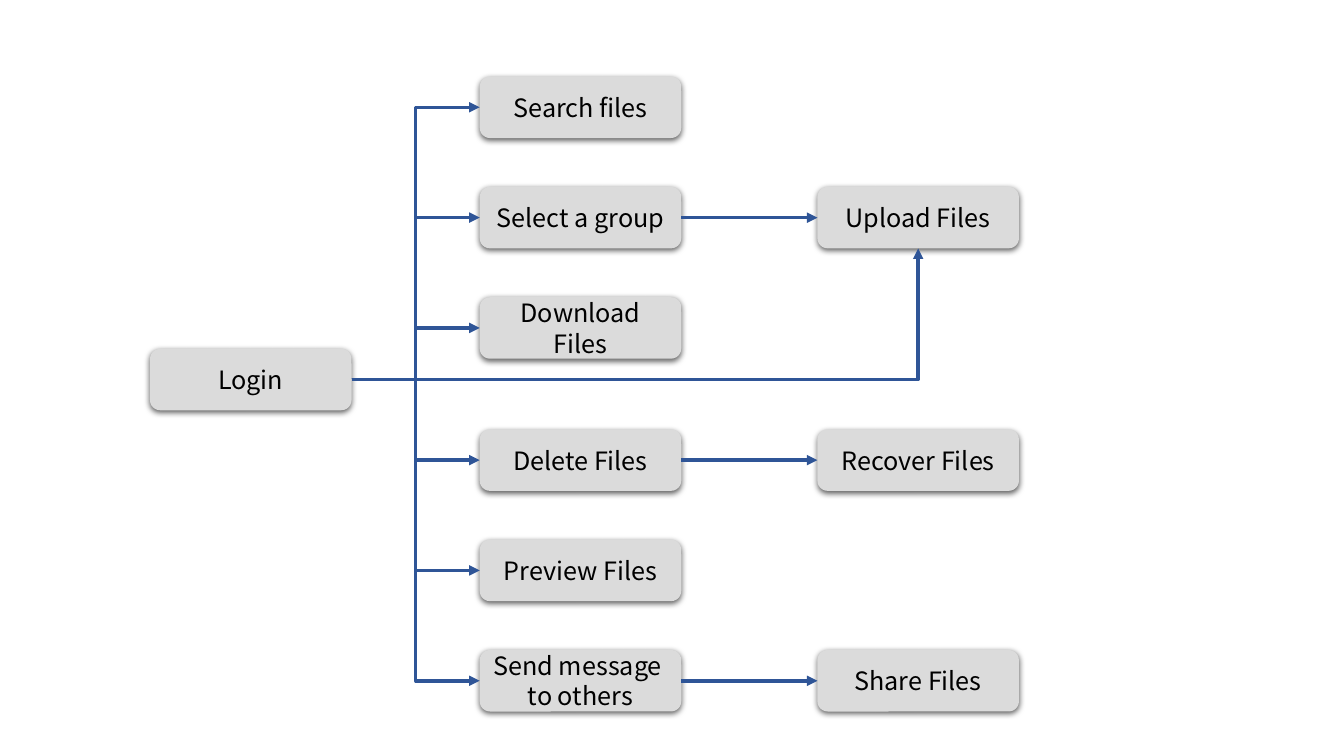
from dataclasses import dataclass

from lxml import etree
from pptx import Presentation
from pptx.dml.color import RGBColor
from pptx.enum.shapes import MSO_CONNECTOR, MSO_SHAPE
from pptx.enum.text import MSO_ANCHOR, PP_ALIGN
from pptx.oxml.ns import qn
from pptx.shapes.autoshape import Shape
from pptx.shapes.connector import Connector
from pptx.slide import Slide
from pptx.util import Cm, Pt

ROUNDED = MSO_SHAPE.ROUNDED_RECTANGLE
STRAIGHT = MSO_CONNECTOR.STRAIGHT
ELBOW = MSO_CONNECTOR.ELBOW
MIDDLE = MSO_ANCHOR.MIDDLE
CENTER = PP_ALIGN.CENTER

GREY = RGBColor(0xDB, 0xDB, 0xDB)
BLUE = RGBColor(0x2F, 0x55, 0x97)
BLACK = RGBColor(0x00, 0x00, 0x00)
FONT = "Noto Sans CJK SC"

BOX_WIDTH, BOX_HEIGHT = 5.08, 1.55
LOGIN_LEFT, LOGIN_TOP = 3.78, 8.79
ACTION_LEFT, FOLLOW_UP_LEFT = 12.09, 20.6
UPPER_TOP, LOWER_TOP, ROW_PITCH = 1.93, 10.82, 2.78
ROWS_PER_GROUP = 3

BOTTOM, LEFT, RIGHT = 2, 1, 3


@dataclass(frozen=True)
class Action:
    label: str
    follow_up: str = ""


ACTIONS = [
    Action("Search files"),
    Action("Select a group", "Upload Files"),
    Action("Download Files"),
    Action("Delete Files", "Recover Files"),
    Action("Preview Files"),
    Action("Send message \nto others", "Share Files"),
]


def add_shadow(box: Shape) -> None:
    box.shadow.inherit = False
    effects = box._element.spPr.find(qn("a:effectLst"))
    shadow = etree.SubElement(
        effects, qn("a:outerShdw"), blurRad=str(Pt(4.5)), dist=str(Pt(1.5)),
        dir="5400000", algn="ctr", rotWithShape="0",
    )
    color = etree.SubElement(shadow, qn("a:srgbClr"), val=str(BLACK))
    etree.SubElement(color, qn("a:alpha"), val="63000")


def add_box(page: Slide, label: str, left: float, top: float) -> Shape:
    box = page.shapes.add_shape(
        ROUNDED, Cm(left), Cm(top), Cm(BOX_WIDTH), Cm(BOX_HEIGHT)
    )
    box.fill.solid()
    box.fill.fore_color.rgb = GREY
    box.line.fill.background()
    add_shadow(box)
    frame = box.text_frame
    frame.word_wrap = True
    frame.vertical_anchor = MIDDLE
    frame.text = label
    for para in frame.paragraphs:
        para.alignment = CENTER
        for span in para.runs:
            span.font.name = FONT
            span.font.size = Pt(18)
            span.font.color.rgb = BLACK
    return box


def add_arrow(
    page: Slide, kind: MSO_CONNECTOR, source: Shape, target: Shape, side: int = LEFT
) -> Connector:
    arrow = page.shapes.add_connector(kind, 0, 0, 0, 0)
    arrow.begin_connect(source, RIGHT)
    arrow.end_connect(target, side)
    arrow.line.color.rgb = BLUE
    arrow.line.width = Pt(2.5)
    properties = arrow._element.spPr
    etree.SubElement(properties.find(qn("a:ln")), qn("a:tailEnd"), type="triangle")
    etree.SubElement(properties, qn("a:effectLst"))
    return arrow


def add_single_bend_arrow(page: Slide, source: Shape, target: Shape) -> None:
    arrow = add_arrow(page, ELBOW, source, target, BOTTOM)
    arrow._element.spPr.find(qn("a:prstGeom")).set("prst", "bentConnector2")


def row_top(index: int) -> float:
    group, row = divmod(index, ROWS_PER_GROUP)
    return (UPPER_TOP, LOWER_TOP)[group] + row * ROW_PITCH


def main() -> None:
    deck = Presentation()
    deck.slide_width, deck.slide_height = Cm(33.87), Cm(19.05)
    page = deck.slides.add_slide(deck.slide_layouts[6])

    login = add_box(page, "Login", LOGIN_LEFT, LOGIN_TOP)
    follow_ups: dict[str, Shape] = {}
    for index, action in enumerate(ACTIONS):
        top = row_top(index)
        box = add_box(page, action.label, ACTION_LEFT, top)
        add_arrow(page, ELBOW, login, box)
        if action.follow_up:
            follow_up = add_box(page, action.follow_up, FOLLOW_UP_LEFT, top)
            add_arrow(page, STRAIGHT, box, follow_up)
            follow_ups[action.follow_up] = follow_up
    add_single_bend_arrow(page, login, follow_ups["Upload Files"])

    deck.save("out.pptx")


if __name__ == "__main__":
    main()
